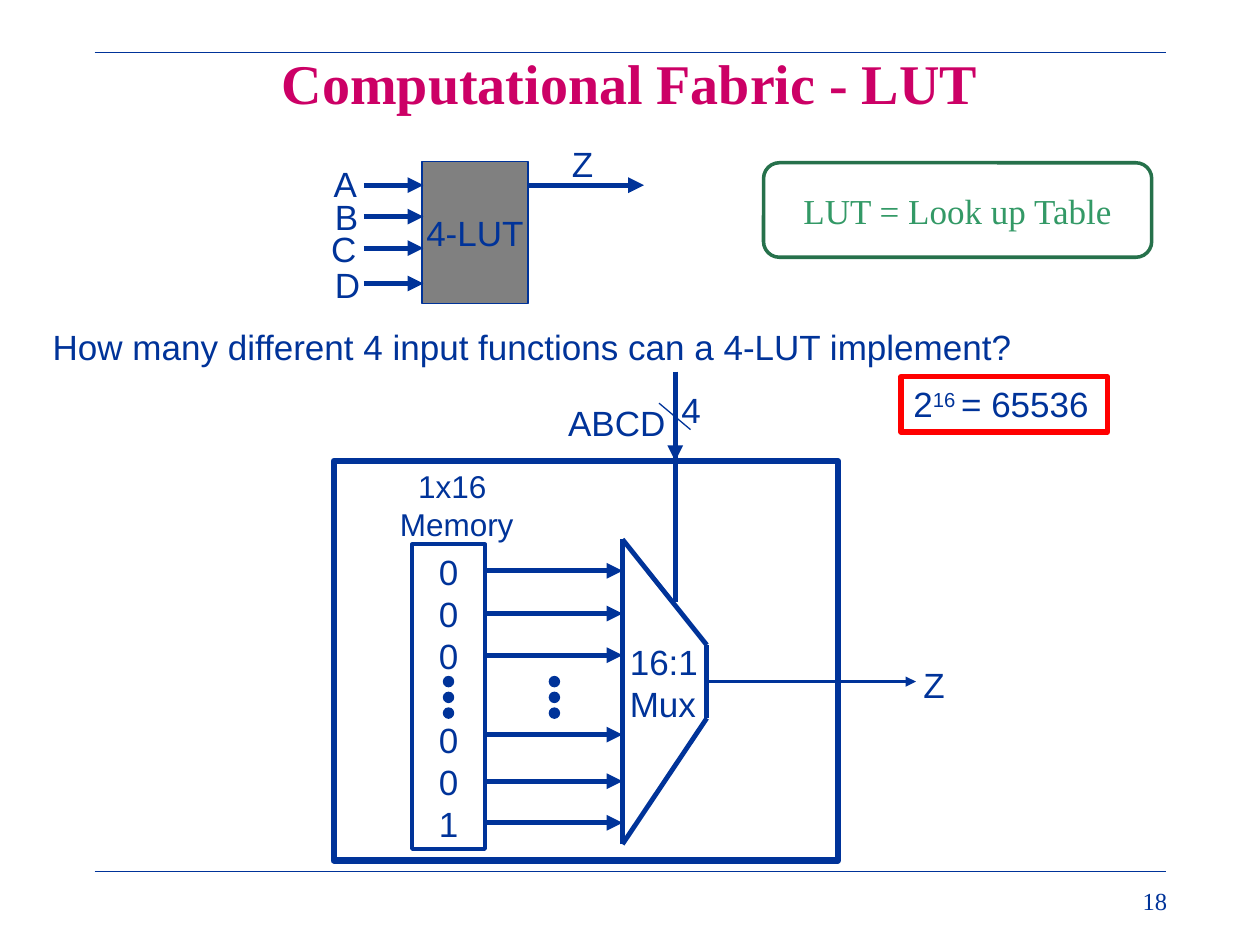
import itertools

import pptx
import pptx.dml.color
import pptx.enum.shapes
import pptx.enum.text
import pptx.oxml.ns
import pptx.util
from lxml import etree

Pt = pptx.util.Pt
RGB = pptx.dml.color.RGBColor
Align = pptx.enum.text.PP_ALIGN
Anchor = pptx.enum.text.MSO_ANCHOR
Shape = pptx.enum.shapes.MSO_SHAPE
qn = pptx.oxml.ns.qn

NAVY = RGB(0x00, 0x33, 0x99)
PINK = RGB(0xCC, 0x00, 0x66)
GRAY = RGB(0x80, 0x80, 0x80)
PINE = RGB(0x26, 0x71, 0x4B)
GREEN = RGB(0x33, 0x99, 0x66)
RED = RGB(0xFF, 0x00, 0x00)
SANS, SERIF = "Arial", "Times New Roman"


def add_run(para, text, size=20, face=SANS, color=NAVY):
    """Add one formatted run to a paragraph and return it."""
    run = para.add_run()
    run.text = text
    font = run.font
    font.size, font.name = Pt(size), face
    font.color.rgb = color
    return run


def fill_text(shape, lines, align=Align.LEFT, wrap=False, anchor=Anchor.TOP, **style):
    """Write lines into a shape, one paragraph each, and return its frame."""
    frame = shape.text_frame
    frame.word_wrap = wrap
    frame.vertical_anchor = anchor
    for i, line in enumerate(lines):
        para = frame.add_paragraph() if i else frame.paragraphs[0]
        para.alignment = align
        if len(lines) > 1:
            para.line_spacing = Pt(style.get("size", 20) * 1.2)
        add_run(para, line, **style)
    return frame


def add_label(slide, x, y, w, h, *lines, **style):
    """Add a text box holding the given lines."""
    box = slide.shapes.add_textbox(Pt(x), Pt(y), Pt(w), Pt(h))
    return fill_text(box, lines, **style)


def add_box(slide, x, y, w, h, kind=Shape.RECTANGLE, fill=None, line=NAVY, width=0.75):
    """Add a preset shape with a plain fill and outline."""
    shape = slide.shapes.add_shape(kind, Pt(x), Pt(y), Pt(w), Pt(h))
    shape.shadow.inherit = False
    if fill is None:
        shape.fill.background()
    else:
        shape.fill.solid()
        shape.fill.fore_color.rgb = fill
    shape.line.color.rgb = line
    shape.line.width = Pt(width)
    return shape


def add_line(slide, x1, y1, x2, y2, width=3, arrow=False):
    """Add a straight line, with an arrowhead at its end if asked."""
    line = slide.shapes.add_connector(
        pptx.enum.shapes.MSO_CONNECTOR.STRAIGHT, Pt(x1), Pt(y1), Pt(x2), Pt(y2))
    line.line.color.rgb = NAVY
    line.line.width = Pt(width)
    if arrow:
        etree.SubElement(line.line._get_or_add_ln(), qn("a:tailEnd"), type="triangle")
    etree.SubElement(line._element.spPr, qn("a:effectLst"))


def add_frame(slide, x, y, w, h):
    """Place the title, the two rules and the page number."""
    for rule in (y, y + h):
        add_line(slide, x, rule, x + w, rule, 0.75)
    title = slide.shapes.title
    title.left, title.top, title.width, title.height = Pt(x), Pt(2), Pt(w), Pt(90)
    frame = fill_text(title, ["Computational Fabric - LUT"], Align.CENTER, True,
                      Anchor.MIDDLE, size=32, face=SERIF, color=PINK)
    frame.paragraphs[0].runs[0].font.bold = True
    frame.margin_left = frame.margin_right = Pt(21.6)
    add_label(slide, x + w - 142, y + h + 4.5, 150, 28, "18",
              align=Align.RIGHT, wrap=True, size=14, face=SERIF)


def add_lut(slide, x, y, w, h):
    """Draw the four-input block with its pins, fitted to its box."""
    block = add_box(slide, x, y, w, h, fill=GRAY)
    fill_text(block, ["4-LUT"], Align.CENTER, anchor=Anchor.MIDDLE)
    pins = (("A", -57.6, -2.9, 13.6), ("B", -56.9, 15.8, 31.6),
            ("C", -59, 34.5, 49.6), ("D", -56.9, 54.7, 69.8))
    for name, left, top, pin in pins:
        add_label(slide, x + left, y + top, 28.4, 31, name)
        add_line(slide, x - 33.2, y + pin, x + 0.7, y + pin, arrow=True)
    add_line(slide, x + w, y + 13.6, x + w + 66.3, y + 13.6, arrow=True)
    add_label(slide, x + w + 18, y - 14.4, 26.6, 31, "Z")


def add_note(slide, x, y, w, h):
    """Draw the rounded box that spells out the short form."""
    note = add_box(slide, x, y, w, h, Shape.ROUNDED_RECTANGLE, line=PINE, width=2)
    fill_text(note, ["LUT = Look up Table"], Align.CENTER, True, Anchor.MIDDLE,
              face=SERIF, color=GREEN)


def add_count(slide, x, y, w, h):
    """Draw the red box with the number of functions."""
    box = add_box(slide, x, y, w, h, line=RED, width=3)
    para = fill_text(box, ["2"]).paragraphs[0]
    power = add_run(para, "16 ")
    power._r.get_or_add_rPr().set("baseline", "30000")
    add_run(para, "= 65536")


def add_cells(slide, x, y, w, h):
    """Draw the memory column, its caption, dots and outgoing arrows."""
    column = add_box(slide, x, y, w, h, width=2)
    frame = fill_text(column, "000001", Align.CENTER, True)
    frame.paragraphs[3].space_before = Pt(24)
    add_label(slide, x - 14.4, y - 47.5, 80, 51, "1x16 ", "Memory",
              align=Align.CENTER, size=18)
    for left, row in itertools.product((18, 78.5), range(3)):
        add_box(slide, x + left, y + 75.6 + 9 * row, 5.8, 5.8, Shape.OVAL, NAVY)
    for top in (15.2, 39.6, 63.4, 108.8, 135.4, 159.2):
        add_line(slide, x + w, y + top, x + 120.3, y + top, arrow=True)


def add_mux(slide, x, y, w, h):
    """Draw the selector outline with its name and output."""
    right = x + w
    points = ((x, y), (right, y + 60.4), (right, y + 102.2), (x, y + h))
    for start, end in zip(points, points[1:] + points[:1]):
        add_line(slide, *start, *end, 2.75)
    add_label(slide, x - 2.9, y + 54, 54, 55.4, "16:1", "Mux")
    out = y + 81.3
    add_line(slide, right, out, right + 77.8, out, 1.25)
    add_line(slide, right + 74.9, out, right + 119.5, out, 1.25, True)
    add_label(slide, right + 116.7, out - 13.7, 26.6, 31.7, "Z")


def add_inside(slide, x, y, w, h):
    """Draw the inner structure: frame, memory, selector and address bus."""
    add_box(slide, x, y, w, h, width=3.75)
    add_cells(slide, x + 44.6, y + 47.5, 41.8, 174.2)
    add_mux(slide, x + 164.9, y + 44.7, 48.2, 174.2)
    bus = x + 195.1
    add_line(slide, bus, y - 51.1, bus, y, arrow=True)
    add_line(slide, bus, y - 2.9, bus, y + 80.6)
    add_line(slide, bus - 9.3, y - 33.1, bus + 8.7, y - 18, 0.75)
    add_label(slide, bus - 3.6, y - 45.3, 26, 31.7, "4")
    add_label(slide, bus - 68.4, y - 37.4, 70.6, 31.7, "ABCD")


def main():
    """Build the slide and save it."""
    deck = pptx.Presentation()
    deck.slide_width, deck.slide_height = Pt(720), Pt(540)
    slide = deck.slides.add_slide(deck.slide_layouts[5])
    add_frame(slide, 54, 30, 612, 468)
    add_lut(slide, 241.2, 92.2, 60.5, 81.4)
    add_note(slide, 436.3, 93, 221.8, 54)
    add_label(slide, 23, 182.2, 566.6, 31.7,
              "How many different 4 input functions can a 4-LUT implement?")
    add_inside(slide, 190.8, 263.5, 288, 228.2)
    add_count(slide, 514.8, 215.3, 118, 31.7)
    deck.save("out.pptx")


if __name__ == "__main__":
    main()
